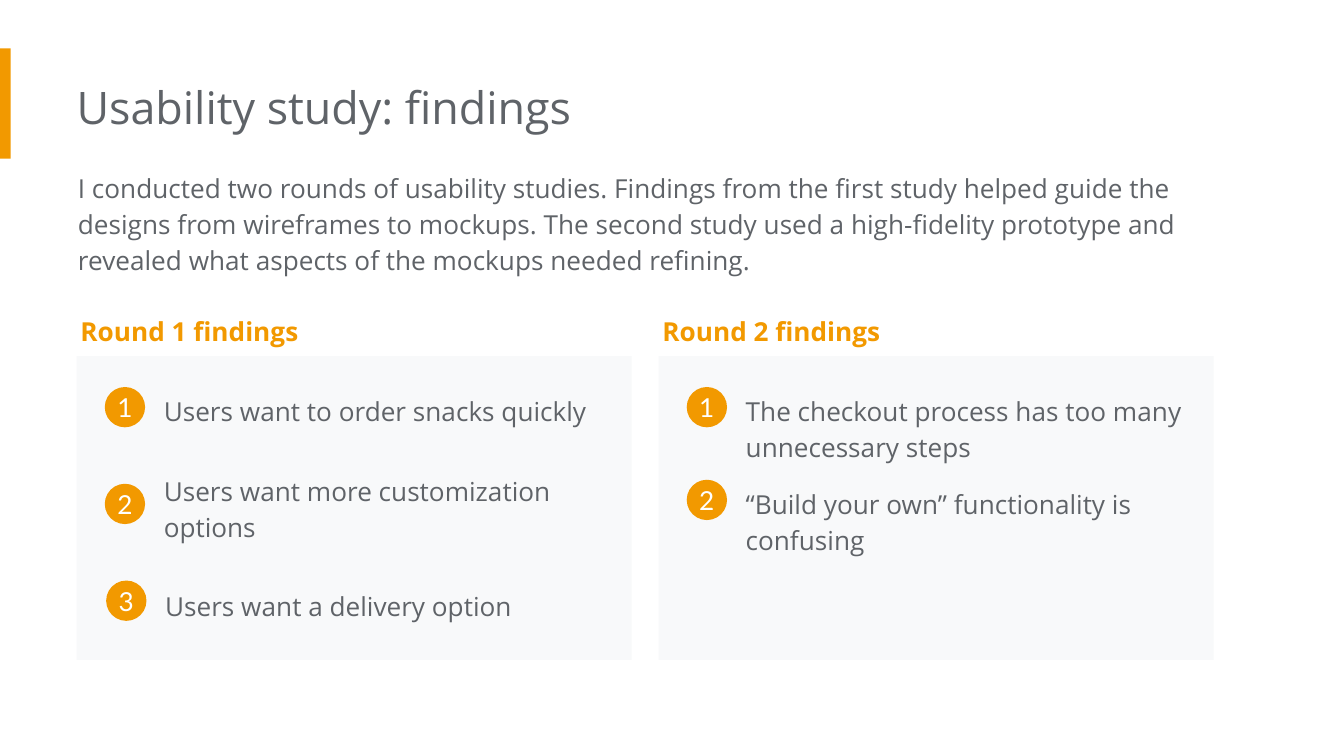
from pptx import Presentation
from pptx.dml.color import RGBColor
from pptx.enum.shapes import MSO_SHAPE
from pptx.enum.text import MSO_ANCHOR, MSO_AUTO_SIZE, PP_ALIGN
from pptx.util import Inches, Pt

ORANGE = RGBColor(0xF2, 0x99, 0x00)
GRAY = RGBColor(0x5F, 0x63, 0x68)
PANEL = RGBColor(0xF8, 0xF9, 0xFA)
WHITE = RGBColor(0xFF, 0xFF, 0xFF)

INTRO = (
    "I conducted two rounds of usability studies. Findings from the first study "
    "helped guide the designs from wireframes to mockups. The second study used "
    "a high-fidelity prototype and revealed what aspects of the mockups needed refining."
)

ROUND_1 = [
    ("Users want to order snacks quickly", (0.55, 0.16, 3.65, 0.47), (0.21, 0.23)),
    ("Users want more customization options", (0.55, 0.75, 3.65, 0.71), (0.21, 0.95)),
    ("Users want a delivery option", (0.56, 1.61, 3.65, 0.44), (0.22, 1.67)),
]
ROUND_2 = [
    ("The checkout process has too many unnecessary steps",
     (0.55, 0.16, 3.65, 0.71), (0.21, 0.23)),
    ("“Build your own” functionality is confusing",
     (0.55, 0.85, 3.43, 0.74), (0.21, 0.92)),
]


def add_shape(page, kind, left, top, width, height, color):
    shape = page.shapes.add_shape(
        kind, Inches(left), Inches(top), Inches(width), Inches(height))
    shape.shadow.inherit = False
    shape.fill.solid()
    shape.fill.fore_color.rgb = color
    shape.line.fill.background()
    return shape


def add_text(page, text, left, top, width, height, size=14, color=GRAY,
             bold=False, inset=0.1, spacing=1.15):
    box = page.shapes.add_textbox(
        Inches(left), Inches(top), Inches(width), Inches(height))
    frame = box.text_frame
    frame.word_wrap = True
    frame.auto_size = MSO_AUTO_SIZE.SHAPE_TO_FIT_TEXT
    frame.margin_left = Inches(inset)
    frame.margin_right = frame.margin_top = frame.margin_bottom = Inches(0.1)
    para = frame.paragraphs[0]
    para.text = text
    para.line_spacing = spacing
    para.font.name = "Open Sans"
    para.font.size = Pt(size)
    para.font.bold = bold
    para.font.color.rgb = color


def add_badge(page, number, left, top):
    badge = add_shape(page, MSO_SHAPE.OVAL, left, top, 0.3, 0.3, ORANGE)
    frame = badge.text_frame
    frame.margin_left = frame.margin_right = 0
    frame.margin_top = frame.margin_bottom = 0
    frame.vertical_anchor = MSO_ANCHOR.MIDDLE
    frame.word_wrap = True
    para = frame.paragraphs[0]
    para.text = str(number)
    para.alignment = PP_ALIGN.CENTER
    para.font.name = "Lato"
    para.font.size = Pt(14)
    para.font.color.rgb = WHITE


def add_header(page, left, top):
    add_shape(page, MSO_SHAPE.RECTANGLE, 0, top - 0.13, 0.08, 0.82, ORANGE)
    add_text(page, "Usability study: findings", left, top, 6.73, 0.61,
             size=24, inset=0, spacing=1.0)
    add_text(page, INTRO, left + 0.01, top + 0.66, 8.61, 0.98, inset=0)


def add_findings(page, heading, findings, left, top, width, height):
    add_shape(page, MSO_SHAPE.RECTANGLE, left, top, width, height, PANEL)
    for number, (text, text_box, badge_at) in enumerate(findings, 1):
        text_left, text_top, text_width, text_height = text_box
        badge_left, badge_top = badge_at
        add_text(page, text, left + text_left, top + text_top,
                 text_width, text_height)
        add_badge(page, number, left + badge_left, top + badge_top)
    add_text(page, heading, left - 0.07, top - 0.44, 3.65, 0.44,
             color=ORANGE, bold=True)


def main():
    deck = Presentation()
    deck.slide_width = Inches(10)
    deck.slide_height = Inches(10) * 9 // 16
    page = deck.slides.add_slide(deck.slide_layouts[6])
    add_header(page, 0.57, 0.49)
    for index, findings in enumerate([ROUND_1, ROUND_2]):
        add_findings(page, f"Round {index + 1} findings", findings,
                     0.57 + index * 4.33, 2.65, 4.13, 2.26)
    deck.save("out.pptx")


if __name__ == "__main__":
    main()
